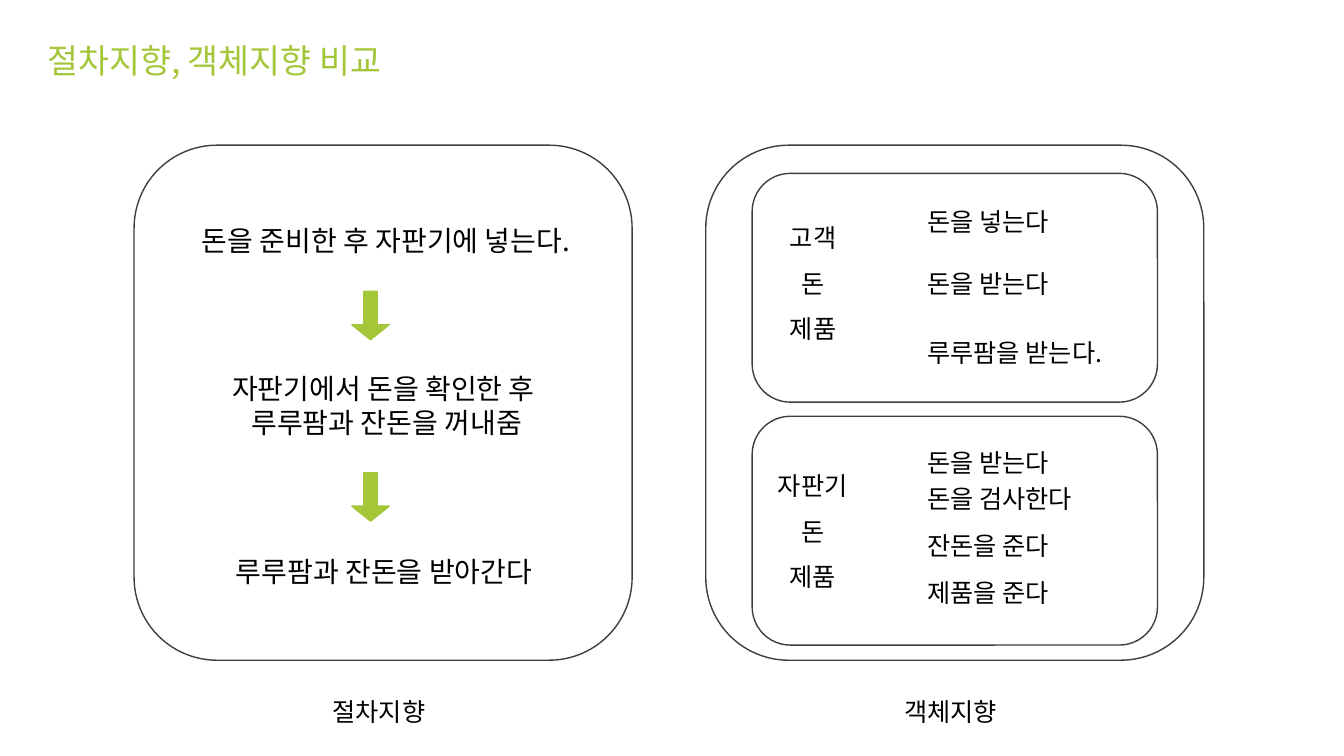
from dataclasses import dataclass

from lxml.etree import SubElement
from pptx import Presentation
from pptx.dml.color import RGBColor
from pptx.enum.shapes import MSO_SHAPE as Shape
from pptx.enum.text import MSO_ANCHOR as Anchor, MSO_AUTO_SIZE as AutoSize, PP_ALIGN as Align
from pptx.oxml.ns import qn
from pptx.util import Inches, Pt


@dataclass(frozen=True)
class Theme:
    font: str = "Noto Sans CJK KR"
    accent: RGBColor = RGBColor(0xA4, 0xC6, 0x39)
    outline: RGBColor = RGBColor(0x3C, 0x3F, 0x41)
    text: RGBColor = RGBColor(0, 0, 0)
    title_size: int = 24
    step_size: int = 20
    label_size: int = 18


THEME = Theme()


def write_text(tf, text, *, size=THEME.label_size, color=THEME.text,
               align=Align.LEFT, spacing=1.0):
    tf.word_wrap = False
    tf.auto_size = AutoSize.SHAPE_TO_FIT_TEXT
    tf.vertical_anchor = Anchor.TOP
    for i, line in enumerate(text.split("\n")):
        p = tf.paragraphs[0] if i == 0 else tf.add_paragraph()
        p.alignment = align
        p.line_spacing = spacing
        r = p.add_run()
        r.text = line
        r.font.size = Pt(size)
        r.font.name = THEME.font
        r.font.color.rgb = color
        SubElement(r._r.get_or_add_rPr(), qn("a:ea"), typeface=THEME.font)


def place(sp, left, top, width, height):
    sp.left, sp.top = Inches(left), Inches(top)
    sp.width, sp.height = Inches(width), Inches(height)


def add_title(s, text):
    sp = s.shapes.title
    place(sp, 0.37, 0.35, 3.83, 0.5)
    write_text(sp.text_frame, text, size=THEME.title_size, color=THEME.accent)


def add_label(s, text, left, top, width, height=0.4, **fmt):
    sp = s.shapes.add_textbox(Inches(left), Inches(top), Inches(width), Inches(height))
    write_text(sp.text_frame, text, **fmt)


def add_outlined(s, kind, left, top, width, height, color):
    sp = s.shapes.add_shape(kind, Inches(left), Inches(top), Inches(width), Inches(height))
    sp.shadow.inherit = False
    sp.fill.background()
    sp.line.color.rgb = color
    sp.line.width = Pt(1)
    return sp


def add_panel(s, left, top, width, height):
    add_outlined(s, Shape.ROUNDED_RECTANGLE, left, top, width, height, THEME.outline)


def add_down_arrow(s, top):
    sp = add_outlined(s, Shape.DOWN_ARROW, 3.49, top, 0.37, 0.48, THEME.accent)
    sp.fill.solid()
    sp.fill.fore_color.rgb = THEME.accent
    sp.adjustments[0] = 0.354
    sp.adjustments[1] = 0.402


def add_procedure(s):
    steps = [
        ("돈을 준비한 후 자판기에 넣는다.", 1.68, 2.17, 4.3, 0.44),
        ("자판기에서 돈을 확인한 후 \n루루팜과 잔돈을 꺼내줌", 2.07, 3.64, 3.53, 0.77),
        ("루루팜과 잔돈을 받아간다", 2.07, 5.45, 3.48, 0.44),
    ]
    for step in steps:
        add_label(s, *step, size=THEME.step_size, align=Align.CENTER)
    for top in (2.89, 4.69):
        add_down_arrow(s, top)


def add_object(s, top, fields, fields_box, methods):
    add_panel(s, 7.46, top, 4.02, 2.27)
    add_label(s, "\n".join(fields), *fields_box, align=Align.CENTER, spacing=1.5)
    for text, method_top, width in methods:
        add_label(s, text, 9.1, method_top, width)


def main():
    prs = Presentation()
    prs.slide_width, prs.slide_height = Inches(13.33), Inches(7.5)
    s = prs.slides.add_slide(prs.slide_layouts[5])

    add_title(s, "절차지향, 객체지향 비교")
    for name, left in (("절차지향", 1.33), ("객체지향", 7)):
        add_panel(s, left, 1.44, 4.94, 5.11)
        add_label(s, name, left + 1.87, 6.86, 1.21)

    add_procedure(s)
    add_object(s, 1.72, ["고객", "돈", "제품"], (7.71, 2.01, 0.71, 1.46), [
        ("돈을 넣는다", 2, 1.49),
        ("돈을 받는다", 2.61, 1.49),
        ("루루팜을 받는다.", 3.3, 2.03),
    ])
    add_object(s, 4.13, ["자판기", "돈", "제품"], (7.58, 4.47, 0.96, 1.46), [
        ("돈을 받는다", 4.39, 1.49),
        ("돈을 검사한다", 4.75, 1.73),
        ("잔돈을 준다", 5.21, 1.49),
        ("제품을 준다", 5.68, 1.49),
    ])
    prs.save("out.pptx")


if __name__ == "__main__":
    main()
